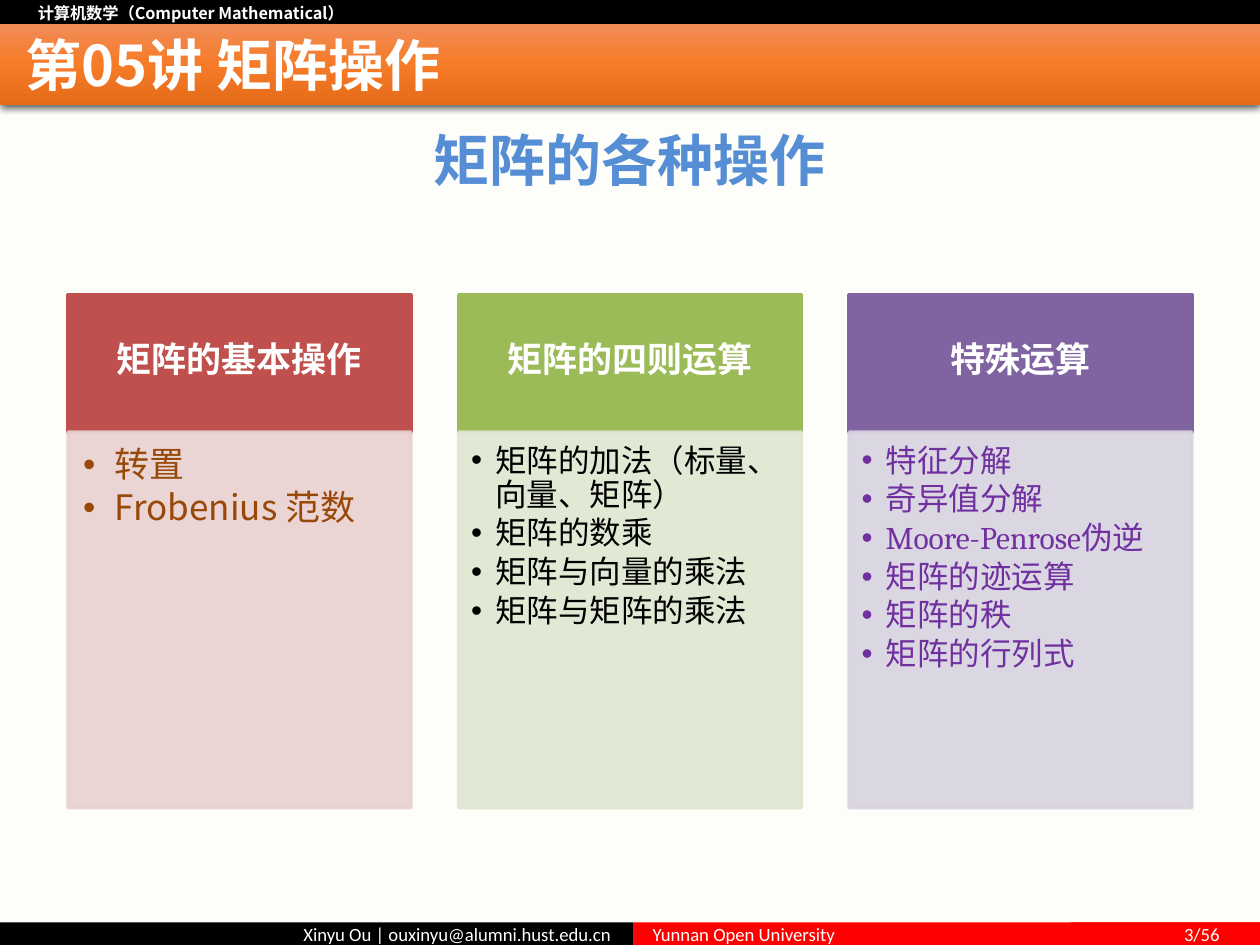
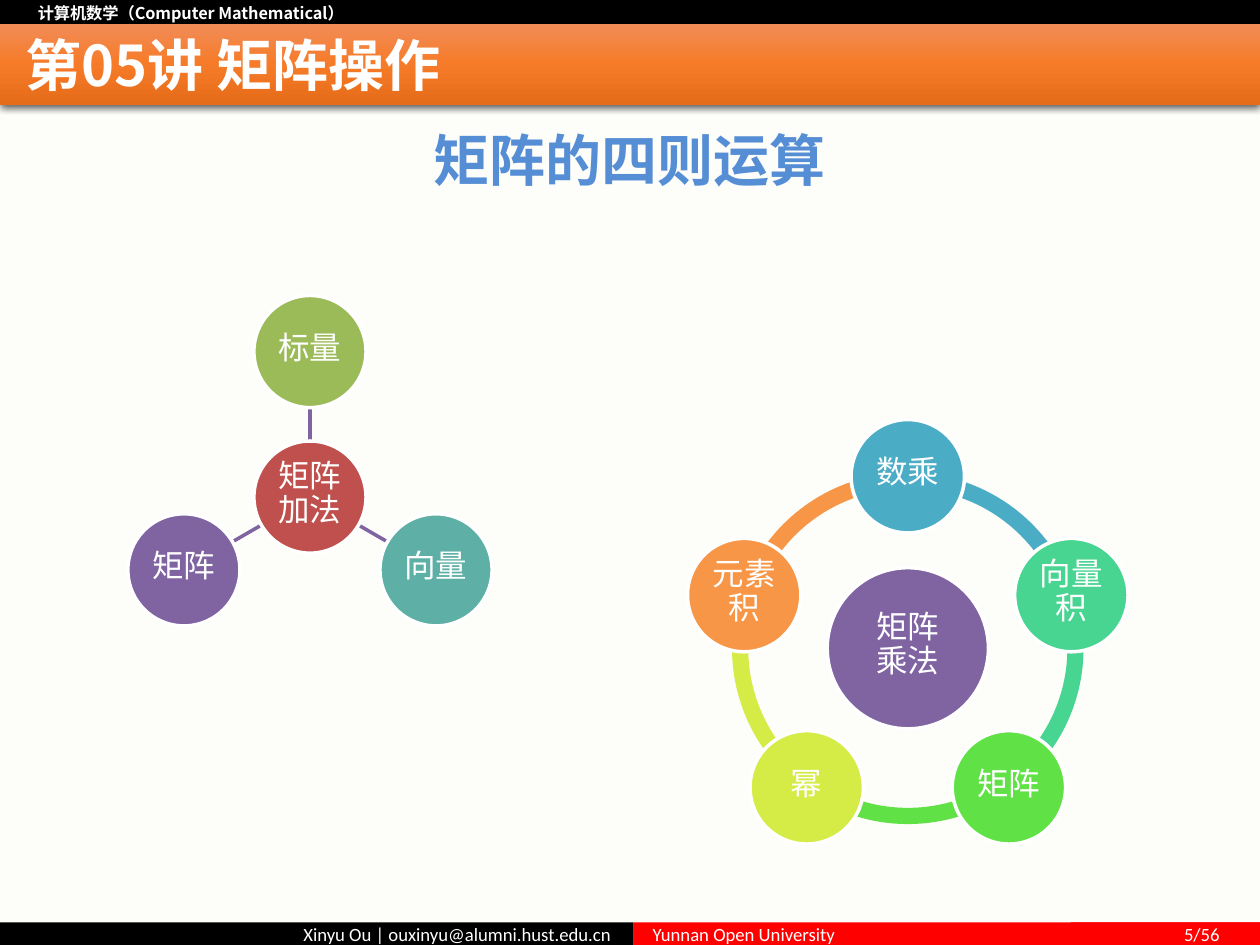
import copy
import math
from lxml import etree
from pptx import Presentation, util as u
from pptx.dml.color import RGBColor
from pptx.enum import shapes, text
from pptx.oxml.ns import qn

hex_colour = RGBColor.from_string
RECTANGLE = shapes.MSO_SHAPE.RECTANGLE
OVAL = shapes.MSO_SHAPE.OVAL
ARC = shapes.MSO_SHAPE.BLOCK_ARC
MIDDLE, TOP = text.MSO_ANCHOR.MIDDLE, text.MSO_ANCHOR.TOP
LEFT, CENTER, RIGHT = text.PP_ALIGN.LEFT, text.PP_ALIGN.CENTER, text.PP_ALIGN.RIGHT
SANS, SERIF, PLAIN = "Noto Sans CJK SC", "Cambria", "Calibri"
WHITE, BLACK, RED = "FFFFFF", "000000", "FF0000"
PAPER, TITLE_BLUE = "FDFDF9", "558ED5"
BRICK, OLIVE, PURPLE, TEAL = "C0504D", "9BBB59", "8064A2", "5EAFA6"
ORANGE_STOPS = ((0, "F18C57"), (0.5, "F67B28"), (1, "E56C19"))

deck = Presentation()
deck.slide_width, deck.slide_height = u.Inches(10), u.Inches(7.5)
column, row = deck.slide_width / 100, deck.slide_height / 75


def add_box(page, kind, left, top, wide, high, fill, outline=None):
    box = page.shapes.add_shape(kind, int(left * column), int(top * row),
                                int(wide * column), int(high * row))
    box.shadow.inherit = False
    box.fill.solid()
    box.fill.fore_color.rgb = hex_colour(fill)
    if outline:
        box.line.color.rgb = hex_colour(outline)
        box.line.width = u.Pt(2)
    else:
        box.line.fill.background()
    return box


def write(box, lines, size, font, colour, bold=False, align=CENTER, anchor=MIDDLE,
          margins=(0, 0, 0, 0), spacing=1.0, after=0, indent=0):
    frame = box.text_frame
    frame.word_wrap = True
    frame.auto_size = text.MSO_AUTO_SIZE.NONE
    frame.vertical_anchor = anchor
    (frame.margin_left, frame.margin_top,
     frame.margin_right, frame.margin_bottom) = [u.Inches(m) for m in margins]
    for number, line in enumerate(lines):
        para = frame.add_paragraph() if number else frame.paragraphs[0]
        para.alignment = align
        para.line_spacing = spacing
        para.space_before, para.space_after = u.Pt(0), u.Pt(after)
        props = para._p.get_or_add_pPr()
        props.set("marL", str(u.Inches(indent)))
        props.set("indent", str(-u.Inches(indent)))
        if indent:
            etree.SubElement(props, qn("a:buFont")).set("typeface", "Arial")
            etree.SubElement(props, qn("a:buChar")).set("char", "•")
        else:
            etree.SubElement(props, qn("a:buNone"))
        span = para.add_run()
        span.text = line
        span.font.size, span.font.bold = u.Pt(size), bold
        span.font.color.rgb = hex_colour(colour)
        span.font.name = font
        etree.SubElement(span.font._element, qn("a:ea")).set("typeface", SANS)


pages = []
for heading, number in (("矩阵的各种操作", "3/56"), ("矩阵的四则运算", "5/56")):
    page = deck.slides.add_slide(deck.slide_layouts[1])
    pages.append(page)
    page.background.fill.solid()
    page.background.fill.fore_color.rgb = hex_colour(PAPER)

    course = add_box(page, RECTANGLE, 0, 0, 100, 2.1, BLACK)
    write(course, ["计算机数学（Computer Mathematical）"], 9.3, SANS, WHITE, True, LEFT,
          margins=(0.3, 0.04, 0.15, 0.04))
    author = add_box(page, RECTANGLE, 0, 73.2, 50.3, 1.8, BLACK)
    write(author, ["Xinyu Ou | ouxinyu@alumni.hust.edu.cn"], 10.7, PLAIN, WHITE,
          align=RIGHT, margins=(0.15, 0, 0.18, 0))
    school = add_box(page, RECTANGLE, 50.3, 73.2, 49.7, 1.8, RED)
    write(school, ["Yunnan Open University"], 10.7, PLAIN, WHITE, align=LEFT,
          anchor=TOP, margins=(0.15, 0, 0.15, 0))
    counter = add_box(page, RECTANGLE, 85, 73.2, 15, 1.8, RED)
    write(counter, [number], 10.7, PLAIN, WHITE, align=RIGHT, anchor=TOP,
          margins=(0, 0, 0.32, 0))

    band = add_box(page, RECTANGLE, 0, 1.9, 100, 6.4, ORANGE_STOPS[1][1])
    band.fill.gradient()
    band.fill.gradient_angle = 270
    stop_list = band.element.spPr.find(".//" + qn("a:gsLst"))
    stop_list.append(copy.deepcopy(stop_list[-1]))
    for stop, (position, colour) in zip(band.fill.gradient_stops, ORANGE_STOPS):
        stop.position = position
        stop.color.rgb = hex_colour(colour)
    effects = band.element.spPr.find(qn("a:effectLst"))
    shadow = etree.SubElement(effects, qn("a:outerShdw"), blurRad=str(u.Pt(4.5)),
                              dist=str(u.Pt(1.5)), dir="5400000", rotWithShape="0")
    tint = etree.SubElement(shadow, qn("a:srgbClr"), val=BLACK)
    etree.SubElement(tint, qn("a:alpha"), val="63000")

    title, body = page.shapes.title, page.placeholders[1]
    for holder, top in ((body, 9.9), (title, 2.4)):
        holder.left, holder.top = 0, int(top * row)
        holder.width, holder.height = deck.slide_width, int(5.4 * row)
        page.shapes.element.append(holder.element)
    write(body, [heading], 32, SANS, TITLE_BLUE, True, margins=(0.28, 0, 0.28, 0))
    write(title, ["第05讲 矩阵操作"], 32, SANS, WHITE, True, LEFT, margins=(0.2, 0, 0, 0))

overview, arithmetic = pages

# name, header, panel, ink, font, size, indent, margins, items
small = (0.1, 0.1, 0.14, 0.16)
cards = (
    ("矩阵的基本操作", BRICK, "E8D0D0", "984807", SANS, 20, 0.25, (0.12, 0.12, 0.16, 0.17),
     ["转置", "Frobenius 范数"]),
    ("矩阵的四则运算", OLIVE, "DEE7D1", BLACK, SERIF, 18, 0.19, small,
     ["矩阵的加法（标量、向量、矩阵）", "矩阵的数乘", "矩阵与向量的乘法", "矩阵与矩阵的乘法"]),
    ("特殊运算", PURPLE, "D8D3E0", "7030A0", SERIF, 18, 0.19, small,
     ["特征分解", "奇异值分解", "Moore-Penrose伪逆", "矩阵的迹运算", "矩阵的秩", "矩阵的行列式"]),
)
for index, (name, dark, pale, ink, font, size, indent, margins, items) in enumerate(cards):
    left = 5.4 + 31 * index
    header = add_box(overview, RECTANGLE, left, 23.4, 27.2, 10.9, dark, dark)
    write(header, [name], 20, SERIF, WHITE, True, margins=(0.16, 0.07, 0.16, 0.11),
          spacing=0.9)
    panel = add_box(overview, RECTANGLE, left, 34.3, 27.2, 29.8, pale, pale)
    for tint in panel.element.spPr.iter(qn("a:srgbClr")):
        etree.SubElement(tint, qn("a:alpha"), val="90000")
    write(panel, items, size, font, ink, align=LEFT, anchor=TOP, margins=margins,
          spacing=0.9, after=size * 0.15, indent=indent)

# name lines, centre, diameter, colour
circles = [(["矩阵", "加法"], 24.6, 39.45, 8.9, BRICK)]
additions = (("标量", OLIVE), ("向量", TEAL), ("矩阵", PURPLE))
for index, (name, colour) in enumerate(additions):
    angle = math.radians(270 + 120 * index)
    across, down = math.cos(angle), math.sin(angle)
    spoke = arithmetic.shapes.add_connector(
        shapes.MSO_CONNECTOR.STRAIGHT,
        int((24.6 + 4.45 * across) * column), int((39.45 + 4.45 * down) * row),
        int((24.6 + 7.1 * across) * column), int((39.45 + 7.1 * down) * row))
    spoke.line.color.rgb = hex_colour(PURPLE)
    spoke.line.width = u.Pt(2)
    etree.SubElement(spoke.element.spPr, qn("a:effectLst"))
    circles.append(([name], 24.6 + 11.55 * across, 39.45 + 11.55 * down, 8.9, colour))

circles.append((["矩阵", "乘法"], 72.05, 51.45, 12.8, PURPLE))
products = (("数乘", "4BACC6"), ("向量积", "48D491"), ("矩阵", "60E146"),
            ("幂", "D5EC46"), ("元素积", "F79646"))
for index, (name, colour) in enumerate(products):
    start = (270 + 72 * index) % 360
    arc = add_box(arithmetic, ARC, 58.1, 37.5, 27.9, 27.9, colour)
    arc.adjustments[0] = start * 0.6
    arc.adjustments[1] = (start + 72) % 360 * 0.6
    arc.adjustments[2] = 0.046
    angle = math.radians(start)
    circles.append(([name], 72.05 + 13.65 * math.cos(angle),
                    51.45 + 13.65 * math.sin(angle), 9, colour))

for lines, across, down, wide, colour in circles:
    circle = add_box(arithmetic, OVAL, across - wide / 2, down - wide / 2, wide, wide,
                     colour, WHITE)
    write(circle, lines, 18, SERIF, WHITE, margins=(0.03, 0, 0.03, 0.04), spacing=0.9)

deck.save("out.pptx")
